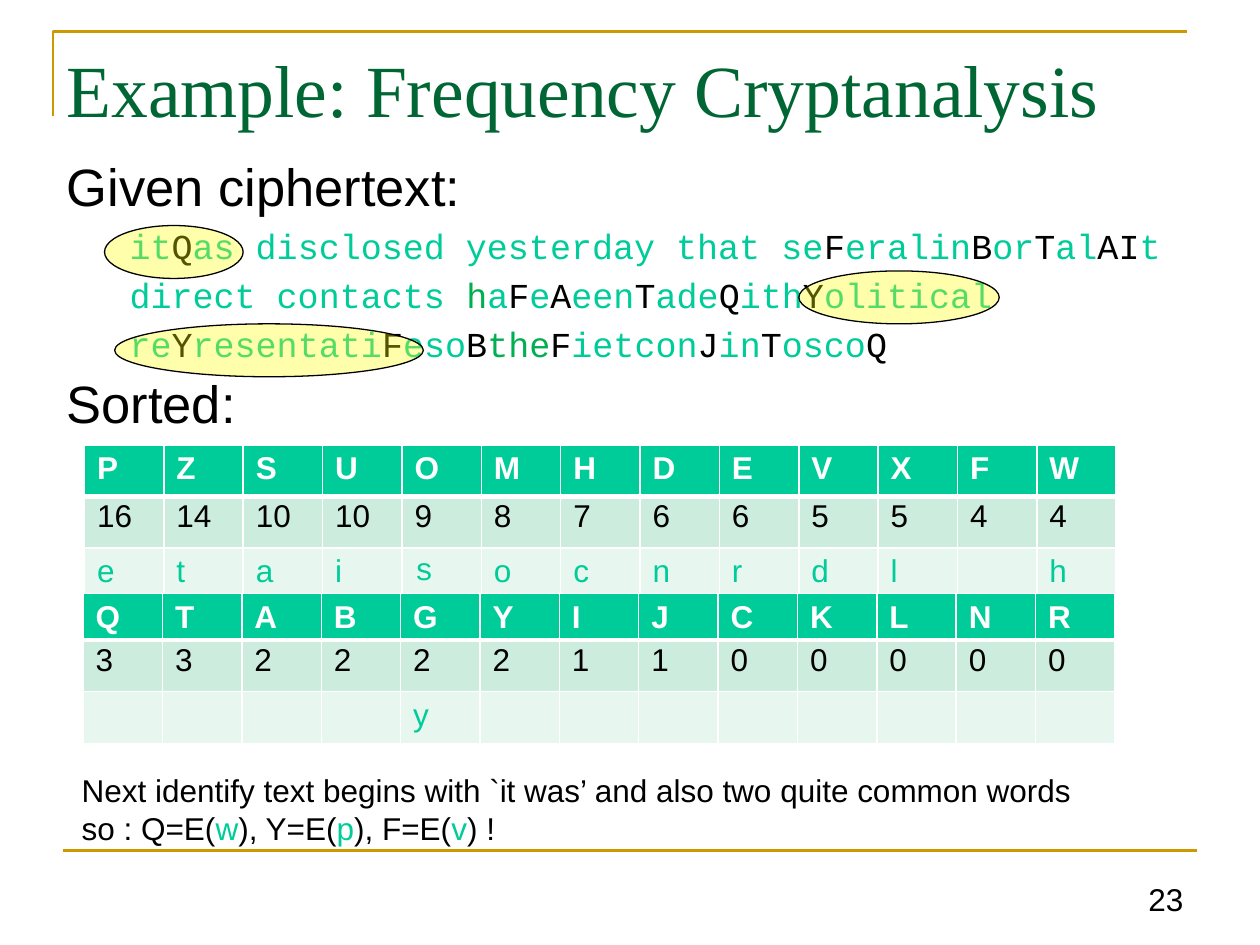
from dataclasses import dataclass

from lxml.etree import SubElement
from pptx import Presentation
from pptx.dml.color import RGBColor
from pptx.enum.shapes import MSO_CONNECTOR, MSO_SHAPE
from pptx.enum.text import MSO_ANCHOR, PP_ALIGN
from pptx.oxml import parse_xml
from pptx.oxml.ns import nsdecls, qn
from pptx.util import Inches, Pt


@dataclass(frozen=True)
class Theme:
    title: str = "006633"
    ink: str = "000000"
    solved: str = "00CC99"
    guessed: str = "00B050"
    rule: str = "CC9900"
    marker: str = "FFFF00"
    white: str = "FFFFFF"
    bands: tuple = ("00CC99", "CCECDE", "E7F6EF")
    cell_inks: tuple = ("FFFFFF", "000000", "00CC99")
    serif: str = "Times New Roman"
    sans: str = "Arial"
    mono: str = "Courier New"
    title_size: int = 42
    heading_size: int = 30
    cipher_size: int = 20
    text_size: int = 18


THEME = Theme()
TITLE = "Example: Frequency Cryptanalysis"
CIPHERTEXT = [
    "it|Q|as disclosed yesterday that se|F|eralin|B|or|T|al|AI|t",
    "direct contacts |h|a|F|e|A|een|T|ade|Q|ith|Y|olitical",
    "re|Y|resentati|F|eso|B|the|F|ietcon|J|in|T|osco|Q",
]
GUESSES = ("h", "the")
CONCLUSION = ("Next identify text begins with `it was’ and also two quite common words"
              "|\n|so : Q=E(|w|), Y=E(|p|), F=E(|v|) !")
PLAIN_LETTERS = ("w", "p", "v")
FREQUENCIES = [
    {"at": (0.67, 3.53), "heights": (0.41, 0.41, 0.41), "rows": [
        "P Z S U O M H D E V X F W".split(),
        "16 14 10 10 9 8 7 6 6 5 5 4 4".split(),
        ["e", "t", "a", "i", "s", "o", "c", "n", "r", "d", "l", "", "h"]]},
    {"at": (0.66, 4.71), "heights": (0.37, 0.41, 0.41), "rows": [
        "Q T A B G Y I J C K L N R".split(),
        "3 3 2 2 2 2 1 1 0 0 0 0 0".split(),
        [""] * 4 + ["y"] + [""] * 8]},
]
MONO_LETTER = "s"
COLUMN_WIDTH = 0.63
CELL_MARGINS = [(0.05, 0.02), (0.02, 0.05), (0.05, 0.05)]
HIGHLIGHTS = [(6.34, 2.15, 1.59), (0.91, 2.57, 2.45), (0.83, 1.79, 1.1)]
HIGHLIGHT_HEIGHT = 0.42


def rgb(color):
    return RGBColor.from_string(color)


def style(paragraph, size, face, color, bold=False):
    for run in paragraph.runs:
        run.font.size, run.font.name, run.font.bold = Pt(size), face, bold
        run.font.color.rgb = rgb(color)


def text_frame(slide, left, top, width, height, wrap=True):
    frame = slide.shapes.add_textbox(*map(Inches, (left, top, width, height))).text_frame
    frame.word_wrap = wrap
    return frame


def write_segments(paragraph, marked, size, face, color_of):
    for segment in marked.split("|"):
        if segment == "\n":
            paragraph.add_line_break()
        else:
            paragraph.add_run().text = segment
    style(paragraph, size, face, THEME.ink)
    for run in paragraph.runs:
        run.font.color.rgb = rgb(color_of(run.text))


def cipher_color(segment):
    if segment in GUESSES:
        return THEME.guessed
    return THEME.ink if segment.isupper() else THEME.solved


def conclusion_color(segment):
    return THEME.solved if segment in PLAIN_LETTERS else THEME.ink


def add_rules(slide):
    builder = slide.shapes.build_freeform(Inches(0.42), Inches(0.92))
    builder.add_line_segments(
        [(Inches(0.42), Inches(0.25)), (Inches(9.42), Inches(0.25))], close=False)
    corner = builder.convert_to_shape()
    corner.shadow.inherit = False
    corner.fill.background()
    footer = slide.shapes.add_connector(
        MSO_CONNECTOR.STRAIGHT, *map(Inches, (0.5, 6.75, 9.5, 6.75)))
    SubElement(footer._element.spPr, qn("a:effectLst"))
    for rule in (corner, footer):
        rule.line.color.rgb = rgb(THEME.rule)
        rule.line.width = Pt(1.5)


def add_body(slide):
    frame = text_frame(slide, 0.43, 1.23, 9.42, 2.3)
    for index, line in enumerate(["Given ciphertext:", *CIPHERTEXT, "Sorted:"]):
        paragraph = frame.add_paragraph() if index else frame.paragraphs[0]
        is_cipher = line in CIPHERTEXT
        margin, indent, gap = (0.81, -0.31, 6.5) if is_cipher else (0.38, -0.38, 7.5)
        paragraph.line_spacing = 0.9
        paragraph.space_before = Pt(gap if index else 0)
        properties = paragraph._p.get_or_add_pPr()
        properties.set("marL", str(Inches(margin)))
        properties.set("indent", str(Inches(indent)))
        if is_cipher:
            paragraph.level = 1
            write_segments(paragraph, line, THEME.cipher_size, THEME.mono, cipher_color)
        else:
            paragraph.text = line
            style(paragraph, THEME.heading_size, THEME.sans, THEME.ink)


def add_borders(cell, row):
    widths = {"lnL": 1, "lnR": 1, "lnT": 3 if row == 1 else 1, "lnB": 1 if row else 3}
    for position, (side, width) in enumerate(widths.items()):
        cell._tc.get_or_add_tcPr().insert(position, parse_xml(
            f'<a:{side} {nsdecls("a")} w="{Pt(width)}"><a:solidFill>'
            f'<a:srgbClr val="{THEME.white}"/></a:solidFill></a:{side}>'))


def add_frequencies(slide, at, heights, rows):
    count = len(rows[0])
    table = slide.shapes.add_table(
        len(rows), count, *map(Inches, (*at, COLUMN_WIDTH * count, sum(heights)))).table
    for column in table.columns:
        column.width = Inches(COLUMN_WIDTH)
    for row, (height, entries) in enumerate(zip(heights, rows)):
        table.rows[row].height = Inches(height)
        for column, entry in enumerate(entries):
            cell = table.cell(row, column)
            cell.text_frame.text = entry
            cell.margin_top, cell.margin_bottom = map(Inches, CELL_MARGINS[row])
            face = THEME.mono if entry == MONO_LETTER else THEME.sans
            style(cell.text_frame.paragraphs[0], THEME.text_size, face,
                  THEME.cell_inks[row], bold=row == 0)
            cell.fill.solid()
            cell.fill.fore_color.rgb = rgb(THEME.bands[row])
            add_borders(cell, row)


def add_highlight(slide, left, top, width):
    oval = slide.shapes.add_shape(
        MSO_SHAPE.OVAL, *map(Inches, (left, top, width, HIGHLIGHT_HEIGHT)))
    oval.shadow.inherit = False
    oval.fill.solid()
    oval.fill.fore_color.rgb = rgb(THEME.marker)
    marker = oval._element.spPr.find(f'{qn("a:solidFill")}/{qn("a:srgbClr")}')
    SubElement(marker, qn("a:alpha")).set("val", "33000")
    oval.line.color.rgb = rgb(THEME.ink)
    oval.line.width = Pt(0.75)


def main():
    """Build the frequency cryptanalysis slide."""
    presentation = Presentation()
    presentation.slide_width, presentation.slide_height = Inches(10), Inches(7.5)
    slide = presentation.slides.add_slide(presentation.slide_layouts[6])
    add_rules(slide)
    title = text_frame(slide, 0.43, 0.3, 9.07, 1.5)
    title.text = TITLE
    style(title.paragraphs[0], THEME.title_size, THEME.serif, THEME.title)
    add_body(slide)
    for frequencies in FREQUENCIES:
        add_frequencies(slide, **frequencies)
    conclusion = text_frame(slide, 0.55, 6.07, 8.13, 0.71, wrap=False)
    write_segments(conclusion.paragraphs[0], CONCLUSION, THEME.text_size, THEME.sans,
                   conclusion_color)
    for highlight in HIGHLIGHTS:
        add_highlight(slide, *highlight)
    page = text_frame(slide, 8.96, 6.84, 0.53, 0.49)
    page.vertical_anchor = MSO_ANCHOR.BOTTOM
    page.text = "23"
    page.paragraphs[0].alignment = PP_ALIGN.RIGHT
    style(page.paragraphs[0], THEME.text_size, THEME.sans, THEME.ink)
    presentation.save("out.pptx")


if __name__ == "__main__":
    main()
